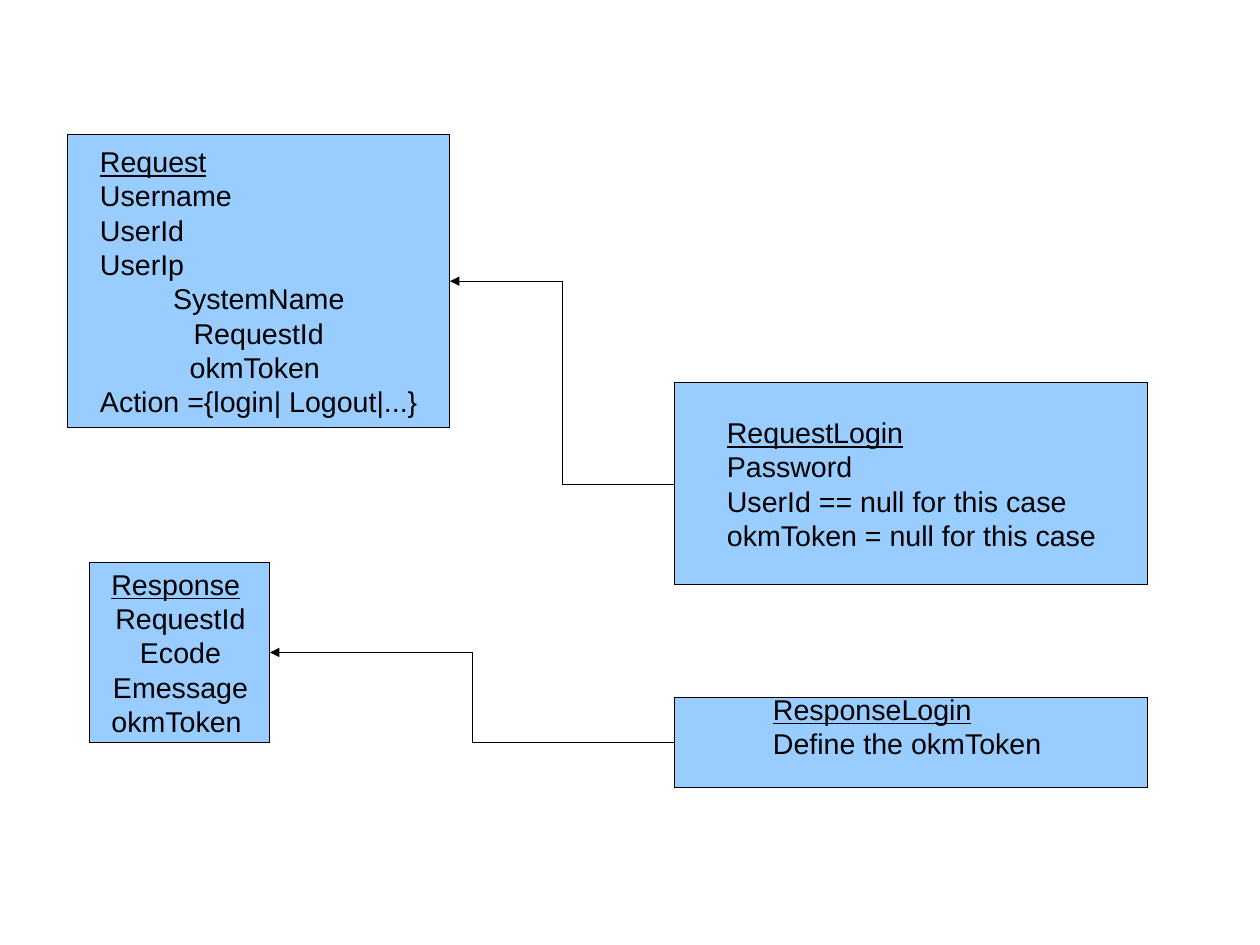
from lxml import etree
from pptx import Presentation
from pptx.dml.color import RGBColor
from pptx.enum.shapes import MSO_CONNECTOR, MSO_SHAPE
from pptx.enum.text import MSO_ANCHOR, PP_ALIGN
from pptx.oxml.ns import qn
from pptx.util import Pt

RECTANGLE = MSO_SHAPE.RECTANGLE
ELBOW = MSO_CONNECTOR.ELBOW
MIDDLE = MSO_ANCHOR.MIDDLE
LEFT, CENTER = PP_ALIGN.LEFT, PP_ALIGN.CENTER
LEFT_SIDE, RIGHT_SIDE = 1, 3
BLANK_LAYOUT = 6

BLACK = "000000"
LIGHT_BLUE = "99CCFF"
FRAME_FORMAT = {"word_wrap": False, "vertical_anchor": MIDDLE,
                "margin_top": Pt(3.6), "margin_bottom": Pt(3.6)}
FONT_FORMAT = {"name": "Arial", "size": Pt(18)}

REQUEST_FIELDS = ["Username", "UserId", "UserIp", "SystemName", "RequestId",
                  "okmToken ", "Action ={login| Logout|...}"]
REQUEST_LOGIN_FIELDS = ["Password", "UserId == null for this case",
                        "okmToken = null for this case"]
RESPONSE_FIELDS = ["RequestId", "Ecode", "Emessage", "okmToken "]
RESPONSE_LOGIN_FIELDS = ["Define the okmToken"]


def rgb(color):
    return RGBColor.from_string(color)


def apply_format(target, values):
    for attribute, value in values.items():
        setattr(target, attribute, value)


def style_line(line):
    line.color.rgb = rgb(BLACK)
    line._get_or_add_ln().set("w", "0")


def add_class_box(slide, bounds, class_name, fields, left_count, side, **margins):
    box = slide.shapes.add_shape(RECTANGLE, *map(Pt, bounds))
    box.shadow.inherit = False
    box.fill.solid()
    box.fill.fore_color.rgb = rgb(LIGHT_BLUE)
    style_line(box.line)
    frame = box.text_frame
    apply_format(frame, {**FRAME_FORMAT, "margin_left": Pt(side),
                         "margin_right": Pt(side), **margins})
    for index, text in enumerate([class_name, *fields]):
        paragraph = frame.add_paragraph() if index else frame.paragraphs[0]
        paragraph.alignment = LEFT if index < left_count else CENTER
        run = paragraph.add_run()
        run.text = text
        apply_format(run.font, {**FONT_FORMAT, "underline": index == 0})
        run.font.color.rgb = rgb(BLACK)
    return box


def add_inheritance(slide, parent, child):
    arrow = slide.shapes.add_connector(ELBOW, 0, 0, 0, 0)
    arrow.begin_connect(parent, RIGHT_SIDE)
    arrow.end_connect(child, LEFT_SIDE)
    style_line(arrow.line)
    etree.SubElement(arrow.line._get_or_add_ln(), qn("a:headEnd"), type="triangle")
    etree.SubElement(arrow._element.spPr, qn("a:effectLst"))


def main():
    presentation = Presentation()
    presentation.slide_width = Pt(793.7)
    presentation.slide_height = Pt(595.28)
    slide = presentation.slides.add_slide(presentation.slide_layouts[BLANK_LAYOUT])

    request = add_class_box(slide, (42.52, 85.04, 240.94, 184.25), "Request",
                            REQUEST_FIELDS, 4, 20.5)
    request_login = add_class_box(slide, (425.2, 240.94, 297.64, 127.56), "RequestLogin",
                                  REQUEST_LOGIN_FIELDS, 4, 32.7)
    response = add_class_box(slide, (56.69, 354.33, 113.39, 113.39), "Response",
                             RESPONSE_FIELDS, 1, 13.5)
    response_login = add_class_box(slide, (425.2, 439.37, 297.64, 56.69), "ResponseLogin",
                                   RESPONSE_LOGIN_FIELDS, 2, 61.7,
                                   margin_bottom=Pt(24.5))

    add_inheritance(slide, request, request_login)
    add_inheritance(slide, response, response_login)
    presentation.save("out.pptx")


if __name__ == "__main__":
    main()
